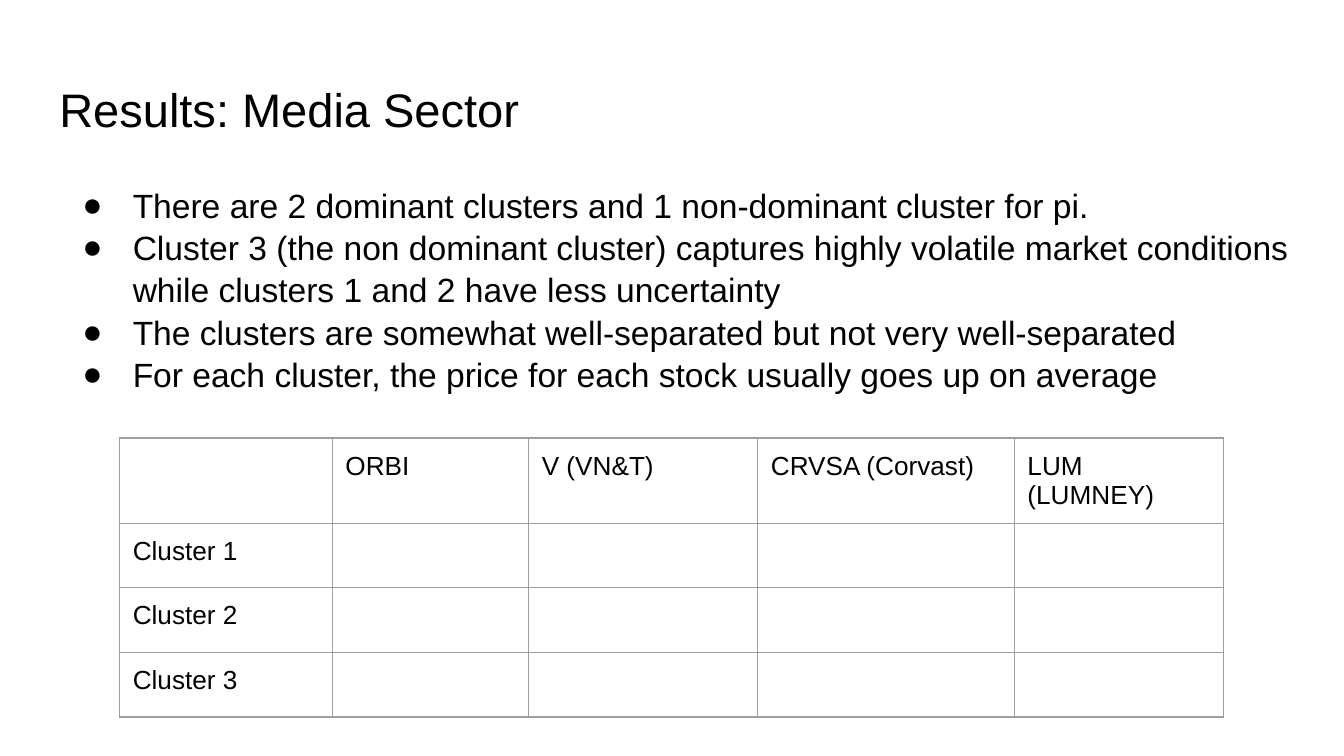
from lxml import etree
from pptx import Presentation
from pptx.dml.color import RGBColor
from pptx.enum.text import MSO_ANCHOR, MSO_AUTO_SIZE, PP_ALIGN
from pptx.oxml.ns import qn
from pptx.util import Cm, Pt

LEFT = PP_ALIGN.LEFT
TOP = MSO_ANCHOR.TOP
BOTTOM = MSO_ANCHOR.BOTTOM
NO_AUTOFIT = MSO_AUTO_SIZE.NONE

COLORS = {"background": "FFFFFF", "text": "000000", "border": "9E9E9E"}
FONT = "Arial"
TITLE_ONLY = 5
INSET = Cm(0.25)

BULLETS = [
    "There are 2 dominant clusters and 1 non-dominant cluster for pi.",
    "Cluster 3 (the non dominant cluster) captures highly volatile market "
    "conditions while clusters 1 and 2 have less uncertainty",
    "The clusters are somewhat well-separated but not very well-separated",
    "For each cluster, the price for each stock usually goes up on average",
]
STOCKS = ["ORBI", "V (VN&T)", "CRVSA (Corvast)", "LUM (LUMNEY)"]
CLUSTER_COUNT = 3
COLUMN_WIDTHS = [4.02, 3.71, 4.33, 4.85, 3.96]
ROW_HEIGHT = 1.22


def set_insets(target):
    """Give a text frame or a table cell the same margin on all sides."""
    target.margin_left = target.margin_right = INSET
    target.margin_top = target.margin_bottom = INSET


def write_text(paragraph, text, size, color="text", line_spacing=1.0):
    paragraph.alignment = LEFT
    paragraph.line_spacing = line_spacing
    paragraph.space_before = paragraph.space_after = Pt(0)
    paragraph.font.size = Pt(size)
    if text:
        run = paragraph.add_run()
        run.text = text
        run.font.name = FONT
        run.font.size = Pt(size)
        run.font.color.rgb = RGBColor.from_string(COLORS[color])


def add_bullet(paragraph, symbol="●"):
    properties = paragraph._p.get_or_add_pPr()
    properties.set("marL", str(Cm(1.27)))
    properties.set("indent", str(-Cm(0.95)))
    bullet_color = etree.SubElement(properties, qn("a:buClr"))
    etree.SubElement(bullet_color, qn("a:srgbClr"), val=COLORS["text"])
    etree.SubElement(properties, qn("a:buFont"), typeface=FONT)
    etree.SubElement(properties, qn("a:buChar"), char=symbol)


def set_borders(cell, width=0.75):
    properties = cell._tc.get_or_add_tcPr()
    for index, side in enumerate(("lnL", "lnR", "lnT", "lnB")):
        line = etree.Element(qn(f"a:{side}"), w=str(Pt(width)))
        fill = etree.SubElement(line, qn("a:solidFill"))
        etree.SubElement(fill, qn("a:srgbClr"), val=COLORS["border"])
        properties.insert(index, line)


class SlideBuilder:
    """Holds the slide and adds each kind of element in its style."""

    def __init__(self, slide):
        self.slide = slide
        background = slide.background.fill
        background.solid()
        background.fore_color.rgb = RGBColor.from_string(COLORS["background"])

    def prepare_frame(self, shape, anchor):
        frame = shape.text_frame
        frame.word_wrap = True
        frame.auto_size = NO_AUTOFIT
        frame.vertical_anchor = anchor
        set_insets(frame)
        return frame

    def title(self, text, left, top, width, height):
        shape = self.slide.shapes.title
        shape.left, shape.top = Cm(left), Cm(top)
        shape.width, shape.height = Cm(width), Cm(height)
        frame = self.prepare_frame(shape, BOTTOM)
        write_text(frame.paragraphs[0], text, size=25.2)

    def bullet_list(self, items, left, top, width, height):
        shape = self.slide.shapes.add_textbox(
            Cm(left), Cm(top), Cm(width), Cm(height))
        frame = self.prepare_frame(shape, TOP)
        for index, item in enumerate(items):
            paragraph = frame.add_paragraph() if index else frame.paragraphs[0]
            write_text(paragraph, item, size=18, line_spacing=1.05)
            add_bullet(paragraph)

    def table(self, rows, left, top, column_widths, row_height):
        table = self.slide.shapes.add_table(
            len(rows), len(column_widths), Cm(left), Cm(top),
            Cm(sum(column_widths)), Cm(row_height * len(rows))).table
        table.first_row = table.horz_banding = False
        for column, width in zip(table.columns, column_widths):
            column.width = Cm(width)
        for row, texts in zip(table.rows, rows):
            row.height = Cm(row_height)
            for cell, text in zip(row.cells, texts):
                cell.fill.background()
                set_insets(cell)
                set_borders(cell)
                write_text(cell.text_frame.paragraphs[0], text, size=14)


def main():
    presentation = Presentation()
    presentation.slide_width, presentation.slide_height = Cm(25.4), Cm(14.29)
    layout = presentation.slide_layouts[TITLE_ONLY]
    builder = SlideBuilder(presentation.slides.add_slide(layout))

    builder.title("Results: Media Sector", 0.87, 1.24, 23.67, 1.6)
    builder.bullet_list(BULLETS, 0.99, 3.2, 23.67, 9.5)
    rows = [["", *STOCKS]]
    for number in range(1, CLUSTER_COUNT + 1):
        rows.append([f"Cluster {number}"] + [""] * len(STOCKS))
    builder.table(rows, 2.26, 8.28, COLUMN_WIDTHS, ROW_HEIGHT)

    presentation.save("out.pptx")


if __name__ == "__main__":
    main()
